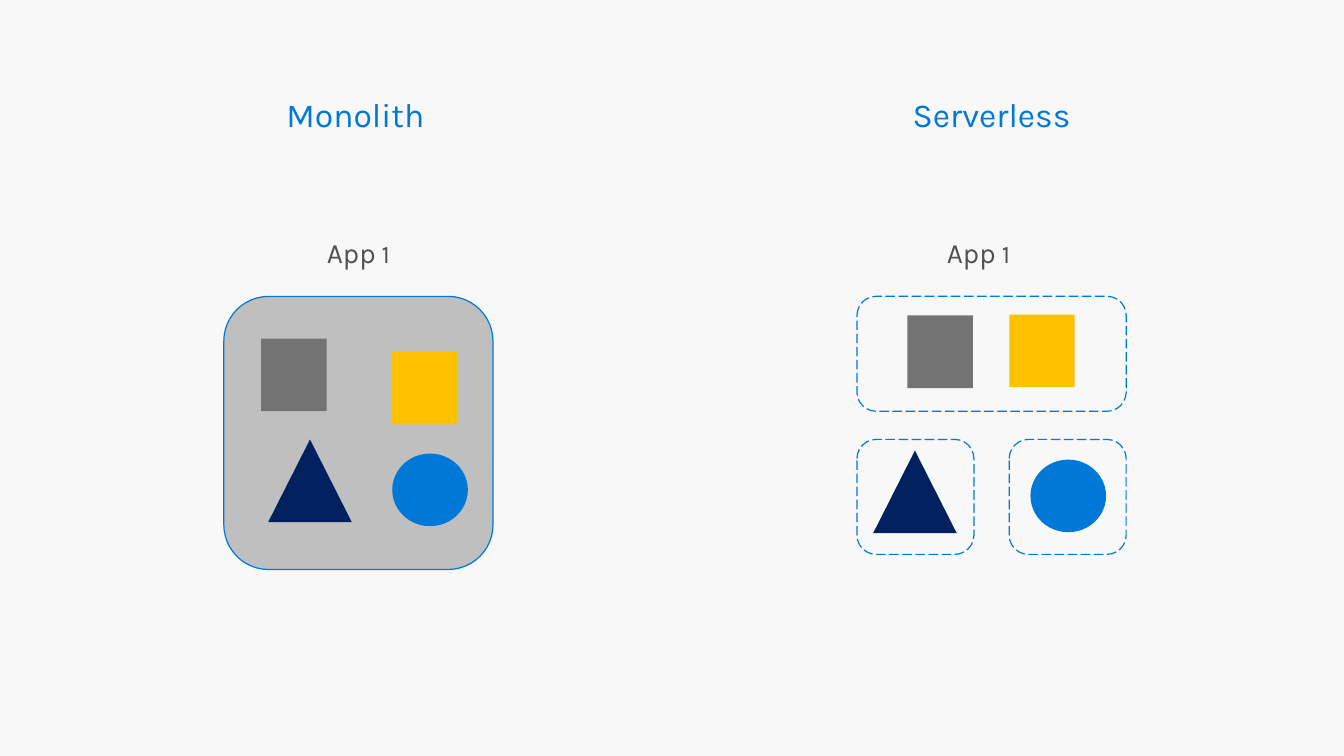
from pptx import Presentation
from pptx.dml.color import RGBColor
from pptx.enum.dml import MSO_LINE
from pptx.enum.shapes import MSO_SHAPE
from pptx.enum.text import MSO_ANCHOR, MSO_AUTO_SIZE, PP_ALIGN
from pptx.util import Inches, Pt

ROUND, RECT = MSO_SHAPE.ROUNDED_RECTANGLE, MSO_SHAPE.RECTANGLE
OVAL, TRI = MSO_SHAPE.OVAL, MSO_SHAPE.ISOSCELES_TRIANGLE
DASH = MSO_LINE.LONG_DASH
TOP, FIXED, CENTER = MSO_ANCHOR.TOP, MSO_AUTO_SIZE.NONE, PP_ALIGN.CENTER

FONT = "Karla"
BLUE, TEXT, PANEL, PAPER = "0078D7", "505050", "BFBFBF", "F8F8F8"

# Parts of an app: preset, width, height, fill
PARTS = {
    "gray": (RECT, 0.65, 0.72, "737373"),
    "gold": (RECT, 0.65, 0.72, "FFC000"),
    "navy": (TRI, 0.83, 0.82, "002060"),
    "blue": (OVAL, 0.75, 0.72, BLUE),
}

# Boxes lie on a grid: column, row, columns spanned
GRID_TOP = 2.94
CELL_W, CELL_H = 1.16, 1.14
STEP_X, STEP_Y = 1.51, 1.42

# Part places are offsets from the top left corner of the grid
MODELS = [
    {"name": "Monolith", "slot": 1, "left": 2.22,
     "head": (1.92, 3.21), "label": 3.13, "boxes": [],
     "parts": {"gold": (1.67, 0.55), "gray": (0.37, 0.42),
               "blue": (1.67, 1.56), "navy": (0.44, 1.42)}},
    {"name": "Serverless", "slot": 3, "left": 8.5,
     "head": (8.3, 3.07), "label": 9.28,
     "boxes": [(0, 0, 2), (0, 1, 1), (1, 1, 1)],
     "parts": {"gray": (0.5, 0.19), "gold": (1.51, 0.18),
               "navy": (0.16, 1.53), "blue": (1.72, 1.62)}},
]
LABEL = [("App", 20), (" 1", 18)]


def rgb(code):
    return RGBColor.from_string(code)


def draw(kind, x, y, w, h, fill=None, line=None, dash=None):
    shape = slide.shapes.add_shape(
        kind, Inches(x), Inches(y), Inches(w), Inches(h))
    shape.shadow.inherit = False
    if fill:
        shape.fill.solid()
        shape.fill.fore_color.rgb = rgb(fill)
    else:
        shape.fill.background()
    if line:
        shape.line.color.rgb = rgb(line)
        shape.line.width = Pt(0.85)
        if dash:
            shape.line.dash_style = dash
    else:
        shape.line.fill.background()


def style(para, color):
    para.alignment = CENTER
    para.font.name = FONT
    para.font.color.rgb = rgb(color)


def add_head(model):
    head = holders[model["slot"]]
    x, w = model["head"]
    head.left, head.top = Inches(x), Inches(0.82)
    head.width, head.height = Inches(w), Inches(0.69)
    frame = head.text_frame
    frame.text = model["name"]
    frame.auto_size, frame.vertical_anchor = FIXED, TOP
    frame.margin_left = frame.margin_right = Inches(0.2)
    frame.margin_top = frame.margin_bottom = Inches(0.16)
    para = frame.paragraphs[0]
    style(para, BLUE)
    para.font.size, para.font.bold = Pt(24), False
    para.line_spacing = 0.9
    para.space_before, para.space_after = Pt(0), Pt(6)


def add_label(x):
    box = slide.shapes.add_textbox(
        Inches(x), Inches(2.29), Inches(0.85), Inches(0.44))
    box.text_frame.word_wrap = False
    para = box.text_frame.paragraphs[0]
    style(para, TEXT)
    for text, size in LABEL:
        run = para.add_run()
        run.text = text
        run.font.size = Pt(size)


deck = Presentation()
deck.slide_width, deck.slide_height = Inches(13.33), Inches(7.5)
slide = deck.slides.add_slide(deck.slide_layouts.get_by_name("Comparison"))
slide.background.fill.solid()
slide.background.fill.fore_color.rgb = rgb(PAPER)

holders = {h.placeholder_format.idx: h for h in slide.placeholders}
used = [model["slot"] for model in MODELS]
for slot, holder in holders.items():
    if slot not in used:
        holder.element.getparent().remove(holder.element)

for model in MODELS:
    left = model["left"]
    add_head(model)
    add_label(model["label"])
    if not model["boxes"]:
        draw(ROUND, left, GRID_TOP, STEP_X + CELL_W, 2.71, PANEL, BLUE)
    for col, row, span in model["boxes"]:
        draw(ROUND, left + col * STEP_X, GRID_TOP + row * STEP_Y,
             CELL_W + (span - 1) * STEP_X, CELL_H, line=BLUE, dash=DASH)
    for part, (dx, dy) in model["parts"].items():
        kind, w, h, fill = PARTS[part]
        draw(kind, left + dx, GRID_TOP + dy, w, h, fill)

deck.save("out.pptx")
